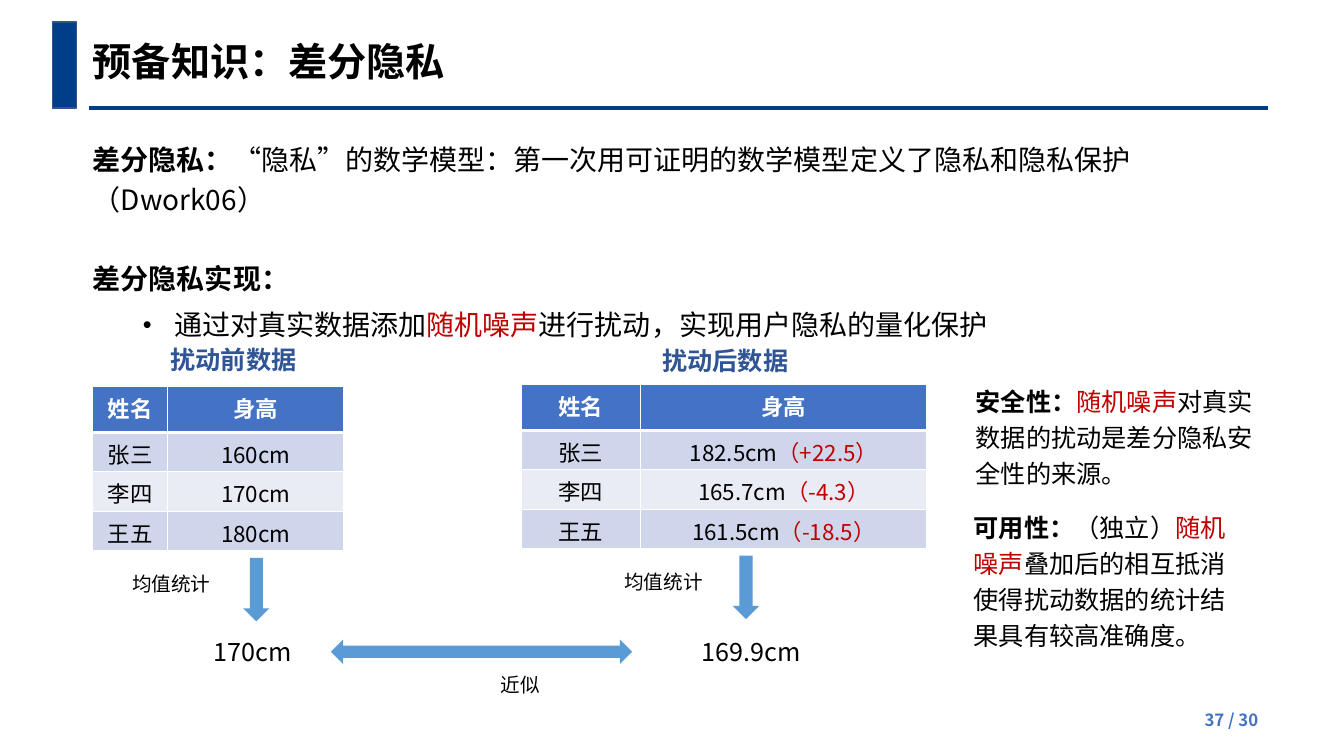
import pptx
import pptx.dml.color
import pptx.enum.lang
import pptx.enum.shapes
import pptx.enum.text
import pptx.oxml
import pptx.oxml.ns
import pptx.util
from lxml import etree

Cm = pptx.util.Cm
Pt = pptx.util.Pt
RGBColor = pptx.dml.color.RGBColor
ALIGN = pptx.enum.text.PP_ALIGN
ANCHOR = pptx.enum.text.MSO_ANCHOR
SHAPE = pptx.enum.shapes.MSO_SHAPE
qn = pptx.oxml.ns.qn

BLACK = RGBColor(0x00, 0x00, 0x00)
WHITE = RGBColor(0xFF, 0xFF, 0xFF)
RED = RGBColor(0xC0, 0x00, 0x00)
NAVY = RGBColor(0x00, 0x3E, 0x8A)
NAVY_EDGE = RGBColor(0x32, 0x54, 0x91)
BLUE = RGBColor(0x44, 0x72, 0xC4)
CAPTION_BLUE = RGBColor(0x2F, 0x55, 0x97)
ARROW_BLUE = RGBColor(0x5B, 0x9B, 0xD5)
BAND_DARK = RGBColor(0xCF, 0xD5, 0xEA)
BAND_LIGHT = RGBColor(0xE9, 0xEB, 0xF5)

FONT = "Noto Sans CJK SC"
INSET = (0.25, 0.13)
INDENT = 1.07


class SlideBuilder:
    """Holds the font and the slide being filled."""

    def __init__(self, s, font):
        self.s = s
        self.font = font

    def runs(self, p, parts, size, color=BLACK, bold=False, align=ALIGN.LEFT):
        """Fill a paragraph; a part is a text or (text, {"bold", "color"})."""
        p.alignment = align
        for part in [parts] if isinstance(parts, str) else parts:
            text, look = (part, {}) if isinstance(part, str) else part
            r = p.add_run()
            r.text = text
            r.font.size = Pt(size)
            r.font.bold = look.get("bold", bold)
            r.font.color.rgb = look.get("color", color)
            r.font.name = self.font
            r.font.language_id = pptx.enum.lang.MSO_LANGUAGE_ID.SIMPLIFIED_CHINESE
            ea = etree.SubElement(r.font._element, qn("a:ea"))
            ea.set("typeface", self.font)

    def space(self, p, left=0, first=0, line=1.2, before=0):
        """Set indents in cm, the line spacing and the space before in points."""
        pPr = p._p.get_or_add_pPr()
        pPr.set("marL", str(Cm(left)))
        pPr.set("indent", str(Cm(first)))
        p.line_spacing = line
        p.space_before = Pt(before)

    def bullet(self, p):
        pPr = p._p.get_or_add_pPr()
        color = etree.SubElement(pPr, qn("a:buClr"))
        etree.SubElement(color, qn("a:srgbClr")).set("val", str(BLACK))
        etree.SubElement(pPr, qn("a:buSzPct")).set("val", "90000")
        etree.SubElement(pPr, qn("a:buFont")).set("typeface", "Arial")
        etree.SubElement(pPr, qn("a:buChar")).set("char", "•")

    def frame(self, sp, inset, anchor=ANCHOR.TOP):
        tf = sp.text_frame
        tf.word_wrap = True
        tf.vertical_anchor = anchor
        tf.margin_left = tf.margin_right = Cm(inset[0])
        tf.margin_top = tf.margin_bottom = Cm(inset[1])
        return tf

    def title(self, box, text):
        sp = self.s.shapes.title
        sp.left, sp.top, sp.width, sp.height = map(Cm, box)
        p = self.frame(sp, (0.13, 0.05)).paragraphs[0]
        self.space(p, line=1.0)
        self.runs(p, text, 28, bold=True)

    def box(self, at, inset=INSET, anchor=ANCHOR.TOP):
        return self.frame(self.s.shapes.add_textbox(*map(Cm, at)), inset, anchor)

    def text(self, at, parts, size, inset=INSET, left=0, line=1.2,
             anchor=ANCHOR.TOP, **look):
        p = self.box(at, inset, anchor).paragraphs[0]
        self.space(p, left, line=line)
        self.runs(p, parts, size, **look)

    def shape(self, kind, at, fill, edge=None):
        sp = self.s.shapes.add_shape(kind, *map(Cm, at))
        sp.shadow.inherit = False
        sp.fill.solid()
        sp.fill.fore_color.rgb = fill
        if edge is None:
            sp.line.fill.background()
        else:
            sp.line.color.rgb = edge
            sp.line.width = Pt(1)

    def rule(self, x1, x2, y):
        line = self.s.shapes.add_connector(
            pptx.enum.shapes.MSO_CONNECTOR.STRAIGHT, Cm(x1), Cm(y), Cm(x2), Cm(y))
        line.line.color.rgb = NAVY
        line.line.width = Pt(2.25)
        etree.SubElement(line._element.spPr, qn("a:effectLst"))

    def borders(self, cell, top, bottom):
        tcPr = cell._tc.get_or_add_tcPr()
        widths = (("L", 1), ("R", 1), ("T", top), ("B", bottom))
        for i, (side, width) in enumerate(widths):
            ln = pptx.oxml.parse_xml(
                f'<a:ln{side} xmlns:a="{pptx.oxml.ns.nsuri("a")}" w="{Pt(width)}">'
                f'<a:solidFill><a:srgbClr val="{WHITE}"/></a:solidFill></a:ln{side}>')
            tcPr.insert(i, ln)

    def table(self, left, top, widths, rows):
        heights = [1.17] + [0.99] * (len(rows) - 1)
        table = self.s.shapes.add_table(
            len(rows), len(widths), Cm(left), Cm(top),
            Cm(sum(widths)), Cm(sum(heights))).table
        for column, width in zip(table.columns, widths):
            column.width = Cm(width)
        for i, row in enumerate(rows):
            table.rows[i].height = Cm(heights[i])
            head = i == 0
            for j, parts in enumerate(row):
                cell = table.cell(i, j)
                cell.fill.solid()
                cell.fill.fore_color.rgb = (
                    BLUE if head else BAND_DARK if i % 2 else BAND_LIGHT)
                self.borders(cell, 3 if i == 1 else 1, 3 if head else 1)
                self.runs(cell.text_frame.paragraphs[0], parts, 16,
                          WHITE if head else BLACK, head, ALIGN.CENTER)


def main():
    prs = pptx.Presentation()
    prs.slide_width, prs.slide_height = Cm(33.87), Cm(19.05)
    b = SlideBuilder(prs.slides.add_slide(prs.slide_layouts[5]), FONT)
    noise = ("随机噪声", {"color": RED})

    b.rule(2.24, 31.95, 2.72)
    b.shape(SHAPE.RECTANGLE, (1.32, 0.56, 0.61, 2.16), NAVY, NAVY_EDGE)
    b.title((2.21, 0.89, 12, 1.32), "预备知识：差分隐私")
    b.text((26.24, 17.63, 5.72, 1.02), "37 / 30", 12, line=1.0,
           anchor=ANCHOR.MIDDLE, color=BLUE, bold=True, align=ALIGN.RIGHT)

    tf = b.box((1.14, 3.28, 31.6, 5.03), (0.13, 0.13))
    p = tf.paragraphs[0]
    b.space(p, INDENT)
    b.runs(p, [("差分隐私：", {"bold": True}),
               "“隐私”的数学模型：第一次用可证明的数学模型定义了隐私和隐私保护（Dwork06）"], 20)
    p = tf.add_paragraph()
    b.space(p, INDENT, before=28)
    b.runs(p, "差分隐私实现：", 20, bold=True)
    p = tf.add_paragraph()
    b.space(p, 3.12, -0.79, before=4)
    b.bullet(p)
    b.runs(p, ["通过对真实数据添加", noise, "进行扰动，实现用户隐私的量化保护"], 20)

    names = ("张三", "李四", "王五")
    before = ("160cm", "170cm", "180cm")
    after = (("182.5cm", "（+22.5）"), ("165.7cm", "（-4.3）"), ("161.5cm", "（-18.5）"))
    noisy = [[height, (change, {"color": RED})] for height, change in after]
    for left, top, widths, heights in ((2.34, 9.73, (1.88, 4.45), before),
                                       (13.13, 9.68, (3.02, 7.21), noisy)):
        b.table(left, top, widths, [("姓名", "身高"), *zip(names, heights)])

    for at, caption in (((2.34, 8.53, 6.32, 0.84), "扰动前数据"),
                        ((14.73, 8.56, 6.53, 0.84), "扰动后数据")):
        b.text(at, caption, 18, (0, 0), 1.96, color=CAPTION_BLUE, bold=True)

    for at in ((2.13, 14.17, 6.05, 1.24), (14.53, 14.12, 3.94, 1.24)):
        b.text(at, "均值统计", 14, (0.13, 0.13), INDENT)
    for left, top in ((6.13, 14.06), (18.47, 14)):
        b.shape(SHAPE.DOWN_ARROW, (left, top, 0.66, 1.6), ARROW_BLUE)
    b.text((5.13, 15.9, 2.69, 1.02), "170cm", 18, line=1.0)
    b.text((16.94, 15.9, 3.99, 1.02), "169.9cm", 18, line=1.0, align=ALIGN.CENTER)
    b.shape(SHAPE.LEFT_RIGHT_ARROW, (8.34, 16.12, 7.59, 0.61), ARROW_BLUE)
    b.text((11.94, 16.71, 2.36, 1.24), "近似", 14, (0.13, 0.13), align=ALIGN.CENTER)

    b.text((23.52, 9.58, 8.36, 2.77),
           [("安全性：", {"bold": True}), noise, "对真实数据的扰动是差分隐私安全性的来源。"],
           18, (0, 0), INDENT)
    b.text((23.22, 12.62, 8.36, 3.86),
           [("可用性：", {"bold": True}), "（独立）", noise,
            "叠加后的相互抵消使得扰动数据的统计结果具有较高准确度。"], 18, left=INDENT)

    prs.save("out.pptx")


if __name__ == "__main__":
    main()
